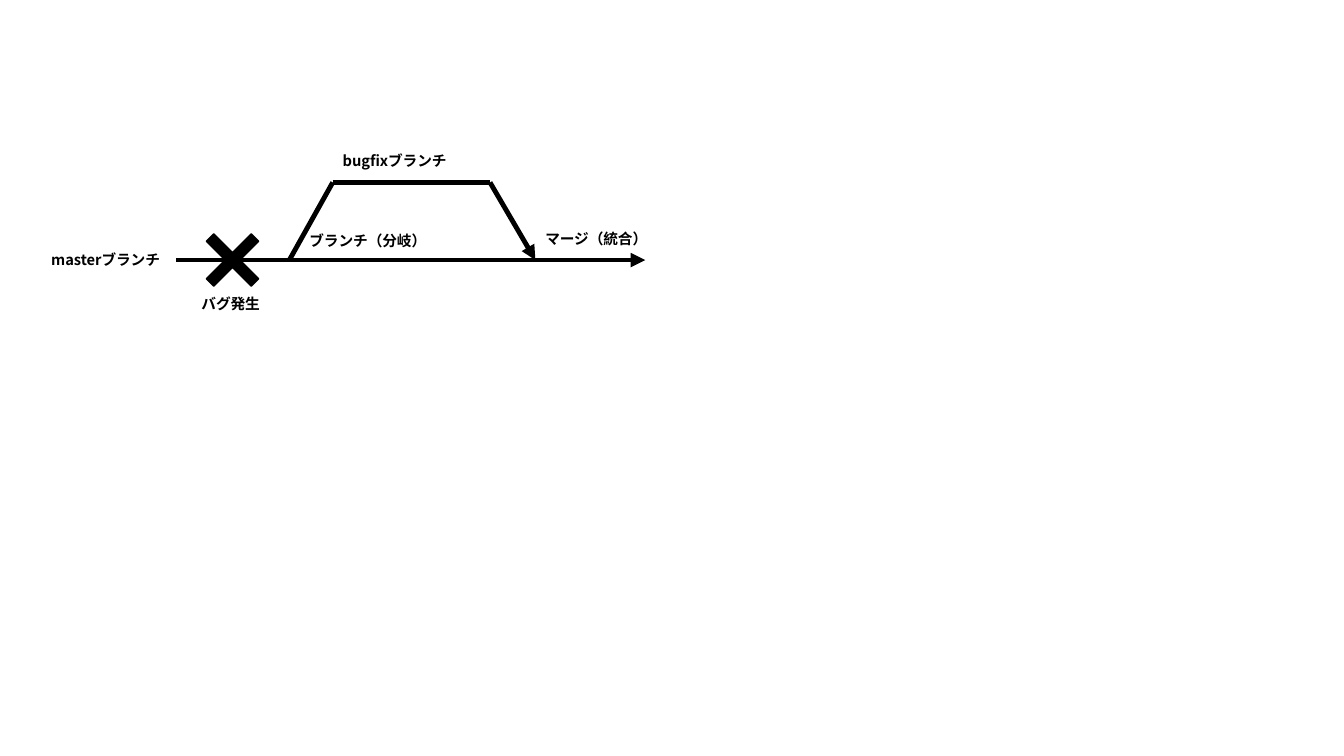
from dataclasses import dataclass
from pptx import Presentation
from pptx.dml.color import RGBColor
from pptx.enum.shapes import MSO_CONNECTOR, MSO_SHAPE
from pptx.oxml.ns import qn
from pptx.util import Inches, Pt
from lxml.etree import SubElement


@dataclass(frozen=True)
class Theme:
    ink: RGBColor = RGBColor(0, 0, 0)
    font: str = "Noto Sans CJK JP"
    text: Pt = Pt(10.5)
    thick: Pt = Pt(3.5)
    thin: Pt = Pt(1)


@dataclass(frozen=True)
class Box:
    left: float
    top: float
    cell: int

    def spot(self, col, row):
        return self.size(self.left + col), self.size(self.top + row)

    def size(self, cells):
        return round(cells * self.cell)


theme = Theme()


def format(item, values):
    for name, value in values.items():
        setattr(item, name, value)


def draw_line(slide, box, start, end, arrow=False):
    line = slide.shapes.add_connector(
        MSO_CONNECTOR.STRAIGHT, *box.spot(*start), *box.spot(*end))
    line.line.color.rgb = theme.ink
    line.line.width = theme.thick
    props = line._element.spPr
    if arrow:
        SubElement(props.find(qn("a:ln")), qn("a:tailEnd"), type="triangle")
    SubElement(props, qn("a:effectLst"))


def draw_label(slide, box, words, col, row, width):
    label = slide.shapes.add_textbox(
        *box.spot(col, row), box.size(width), box.size(2.8))
    frame = label.text_frame
    frame.word_wrap = True
    run = frame.paragraphs[0].add_run()
    run.text = words
    format(run.font, {"name": theme.font, "size": theme.text, "bold": True})
    run.font.color.rgb = theme.ink
    SubElement(run.font._element, qn("a:ea"), typeface=theme.font)


def draw_cross(slide, box, col, row, size):
    cross = slide.shapes.add_shape(
        MSO_SHAPE.CROSS, *box.spot(col - size / 2, row - size / 2),
        box.size(size), box.size(size))
    cross.adjustments[0] = 0.418
    cross.rotation = 45
    cross.shadow.inherit = False
    cross.fill.solid()
    cross.fill.fore_color.rgb = theme.ink
    cross.line.color.rgb = theme.ink
    cross.line.width = theme.thin


def draw_flow(slide, box):
    main, fix = 11.2, 3.5
    fork, rise, fall, merge = 24.6, 28.9, 44.5, 49
    for start, end, arrow in (
        ((13.4, main), (59.9, main), True),
        ((fork, main), (rise, fix), False),
        ((rise, fix), (fall, fix), False),
        ((fall, fix), (merge, main), True),
    ):
        draw_line(slide, box, start, end, arrow)
    draw_cross(slide, box, 18.95, main, 6.3)
    for label in (
        ("masterブランチ", 0, 9.8, 13.4),
        ("bugfixブランチ", rise, 0, 13.4),
        ("バグ発生", 14.9, 14.2, 8.2),
        ("ブランチ（分岐）", 25.6, 7.9, 17.8),
        ("マージ（統合）", merge, 7.7, 13.2),
    ):
        draw_label(slide, box, *label)


deck = Presentation()
format(deck, {"slide_width": Inches(13.33), "slide_height": Inches(7.5)})
slide = deck.slides.add_slide(deck.slide_layouts[6])
draw_flow(slide, Box(4.1, 14.6, deck.slide_height / 75))
deck.save("out.pptx")
